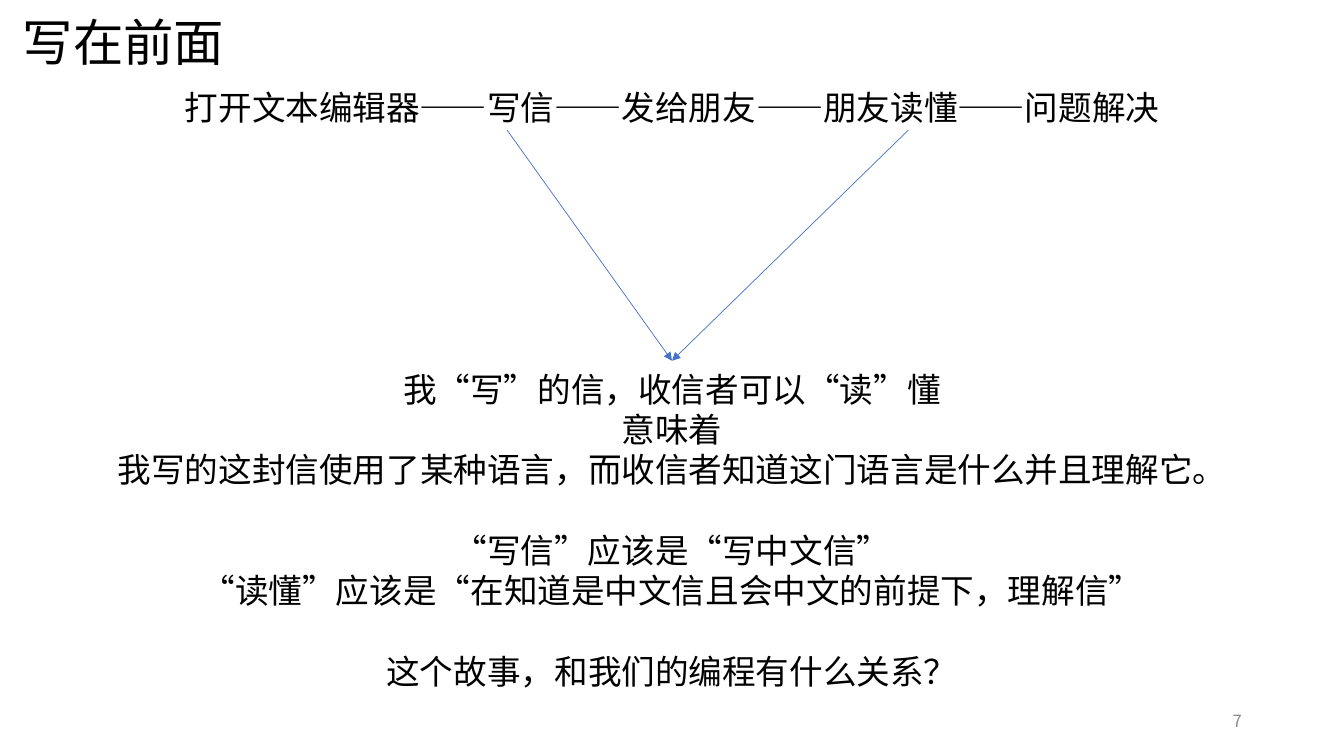
"""Build the slide that leads from writing a letter to sharing a language."""
from dataclasses import dataclass

from lxml import etree
from pptx import Presentation
from pptx.dml.color import RGBColor
from pptx.enum.lang import MSO_LANGUAGE_ID
from pptx.enum.shapes import MSO_CONNECTOR
from pptx.enum.text import MSO_ANCHOR, MSO_AUTO_SIZE, PP_ALIGN
from pptx.oxml.ns import qn
from pptx.util import Cm, Pt

TITLE = "写在前面"
STEPS = ["打开文本编辑器", "写信", "发给朋友", "朋友读懂", "问题解决"]
GROUPS = [
    ["我“写”的信，收信者可以“读”懂", "意味着",
     "我写的这封信使用了某种语言，而收信者知道这门语言是什么并且理解它。"],
    ["“写信”应该是“写中文信”",
     "“读懂”应该是“在知道是中文信且会中文的前提下，理解信”"],
    ["这个故事，和我们的编程有什么关系？"],
]
PAGE = "7"

SLIDE_W, SLIDE_H = 33.87, 19.05
TEXT_W = 29.0
TEXT_X = (SLIDE_W - TEXT_W) / 2
STEPS_Y, BODY_Y = 1.98, 9.09
ARROW_Y = 3.28
ARROW_STARTS = [12.78, 22.89]

CENTER, RIGHT = PP_ALIGN.CENTER, PP_ALIGN.RIGHT
TOP, MIDDLE = MSO_ANCHOR.TOP, MSO_ANCHOR.MIDDLE
NO_AUTOSIZE = MSO_AUTO_SIZE.NONE
STRAIGHT = MSO_CONNECTOR.STRAIGHT
CHINESE = MSO_LANGUAGE_ID.SIMPLIFIED_CHINESE


@dataclass(frozen=True)
class Theme:
    font: str = "Noto Sans CJK SC"
    ink: RGBColor = RGBColor(0, 0, 0)
    muted: RGBColor = RGBColor(0x8C, 0x8C, 0x8C)
    accent: RGBColor = RGBColor(0x44, 0x72, 0xC4)
    title: int = 36
    body: int = 24
    page: int = 12
    leading: float = 1.2
    line: float = 0.5


THEME = Theme()


def place(sp, x, y, w, h, inset=0.2, anchor=TOP):
    sp.left, sp.top, sp.width, sp.height = Cm(x), Cm(y), Cm(w), Cm(h)
    tf = sp.text_frame
    tf.word_wrap = True
    tf.auto_size = NO_AUTOSIZE
    tf.vertical_anchor = anchor
    tf.margin_left = tf.margin_right = Cm(0.25)
    tf.margin_top, tf.margin_bottom = Cm(inset), Cm(0.13)
    return tf


def write(p, text, size, color=THEME.ink, align=CENTER, before=0):
    p.alignment = align
    p.line_spacing = Pt(size * THEME.leading)
    p.space_before, p.space_after = Pt(before), Pt(0)
    r = p.add_run()
    r.text = text
    r.font.name, r.font.size = THEME.font, Pt(size)
    r.font.color.rgb = color
    r.font.language_id = CHINESE
    ea = etree.Element(qn("a:ea"), typeface=THEME.font)
    r.font._element.find(qn("a:latin")).addnext(ea)


def remove_bullet(p):
    ppr = p._p.get_or_add_pPr()
    ppr.set("marL", "0")
    ppr.set("indent", "0")
    etree.SubElement(ppr, qn("a:buNone"))


def add_arrow(s, x1, y1, x2, y2):
    line = s.shapes.add_connector(STRAIGHT, Cm(x1), Cm(y1), Cm(x2), Cm(y2))
    line.line.color.rgb = THEME.accent
    line.line.width = Pt(THEME.line)
    etree.SubElement(line.line._get_or_add_ln(), qn("a:tailEnd"), type="triangle")
    etree.SubElement(line._element.spPr, qn("a:effectLst"))


def add_body(sp):
    tf = place(sp, TEXT_X, BODY_Y, TEXT_W, 8.46)
    p = tf.paragraphs[0]
    for g, group in enumerate(GROUPS):
        for i, text in enumerate(group):
            if g or i:
                p = tf.add_paragraph()
            gap = THEME.body * THEME.leading if g and i == 0 else 0
            write(p, text, THEME.body, before=gap)
            remove_bullet(p)


def main():
    prs = Presentation()
    prs.slide_width, prs.slide_height = Cm(SLIDE_W), Cm(SLIDE_H)
    s = prs.slides.add_slide(prs.slide_layouts[1])

    tf = place(s.shapes.title, 0, 0, 6.22, 1.8, inset=0.27)
    write(tf.paragraphs[0], TITLE, THEME.title)

    sp = s.shapes.add_textbox(0, 0, 0, 0)
    tf = place(sp, TEXT_X, STEPS_Y, TEXT_W, 1.27)
    write(tf.paragraphs[0], "——".join(STEPS), THEME.body)

    for x in ARROW_STARTS:
        add_arrow(s, x, ARROW_Y, SLIDE_W / 2, BODY_Y)

    add_body(s.placeholders[1])

    sp = s.shapes.add_textbox(0, 0, 0, 0)
    tf = place(sp, 23.93, 17.65, 7.62, 1.02, inset=0.13, anchor=MIDDLE)
    write(tf.paragraphs[0], PAGE, THEME.page, THEME.muted, RIGHT)

    prs.save("out.pptx")


if __name__ == "__main__":
    main()
